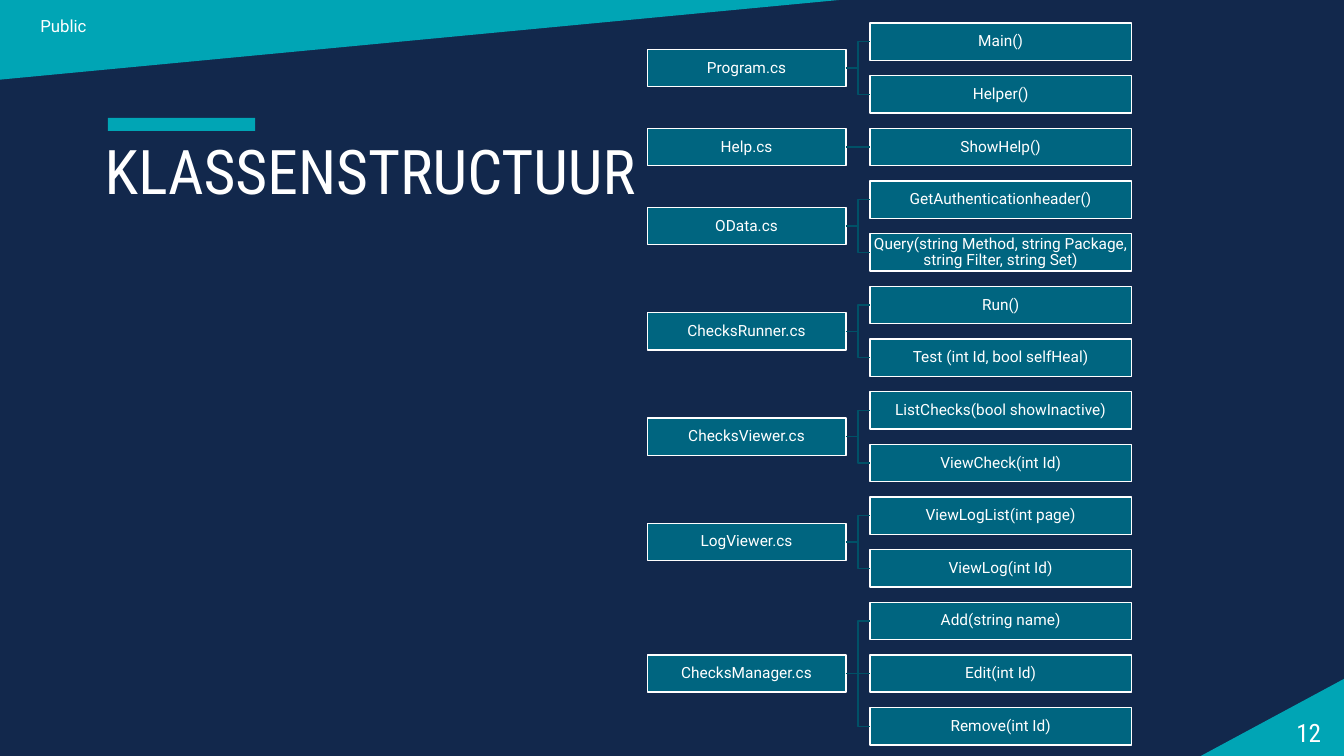
from pptx import Presentation, util as u
from pptx.dml.color import RGBColor
from pptx.enum import shapes, text
from pptx.oxml import parse_xml
from pptx.oxml.ns import nsdecls

COLORS = {"navy": "12284C", "teal": "00A5B5", "box": "006580",
          "branch": "005167", "white": "FFFFFF"}
BODY, HEADING = "Roboto", "Roboto Condensed"


class SlideBuilder:
    def __init__(self, slide):
        self.slide = slide
        self.shapes = slide.shapes

    def color(self, name):
        return RGBColor.from_string(COLORS[name])

    def background(self, name):
        fill = self.slide.background.fill
        fill.solid()
        fill.fore_color.rgb = self.color(name)

    def paint(self, shape, fill, line=None):
        shape.shadow.inherit = False
        shape.fill.solid()
        shape.fill.fore_color.rgb = self.color(fill)
        if line:
            shape.line.color.rgb = self.color(line)
            shape.line.width = u.Pt(1)
        else:
            shape.line.fill.background()
        return shape

    def shape(self, kind, place, fill, line=None):
        shape = self.shapes.add_shape(kind, *map(u.Inches, place))
        return self.paint(shape, fill, line)

    def outline(self, points, fill):
        points = [(u.Inches(x), u.Inches(y)) for x, y in points]
        builder = self.shapes.build_freeform(*points[0])
        builder.add_line_segments(points[1:], close=True)
        return self.paint(builder.convert_to_shape(), fill)

    def set_text(self, shape, words, size, font=BODY, align=text.PP_ALIGN.LEFT,
                 anchor=text.MSO_ANCHOR.MIDDLE, insets=(0.1, 0.05, 0.1, 0.05),
                 spacing=1.0):
        frame = shape.text_frame
        frame.word_wrap = True
        frame.vertical_anchor = anchor
        (frame.margin_left, frame.margin_top,
         frame.margin_right, frame.margin_bottom) = map(u.Inches, insets)
        para = frame.paragraphs[0]
        para.text = words
        para.alignment = align
        para.line_spacing = spacing
        para.font.name = font
        para.font.size = u.Pt(size)
        para.font.color.rgb = self.color("white")

    def label(self, place, words, size, **style):
        self.set_text(self.shapes.add_textbox(*map(u.Inches, place)),
                      words, size, **style)

    def node(self, place, words):
        box = self.shape(shapes.MSO_SHAPE.RECTANGLE, place, "box", "white")
        self.set_text(box, words, 11, align=text.PP_ALIGN.CENTER,
                      insets=(0.01,) * 4, spacing=0.9)
        return box

    def branch(self, parent, child):
        level = abs(parent.top - child.top) < u.Inches(0.01)
        kind = shapes.MSO_CONNECTOR.STRAIGHT if level else shapes.MSO_CONNECTOR.ELBOW
        link = self.shapes.add_connector(kind, 0, 0, 0, 0)
        link.begin_connect(parent, 3)  # right side
        link.end_connect(child, 1)  # left side
        link.line.color.rgb = self.color("branch")
        link.line.width = u.Pt(1)
        link._element.spPr.append(parse_xml(f"<a:effectLst {nsdecls('a')}/>"))


deck = Presentation()
deck.slide_width, deck.slide_height = u.Inches(13.33), u.Inches(7.5)
page = SlideBuilder(deck.slides.add_slide(deck.slide_layouts[6]))

# Background and corner decoration
page.background("navy")
corner = page.shape(shapes.MSO_SHAPE.ISOSCELES_TRIANGLE,
                    (11.91, 6.73, 1.43, 0.77), "teal")
corner.adjustments[0] = 1
page.outline([(0, 0), (8.32, 0), (0, 0.79)], "teal")
page.shape(shapes.MSO_SHAPE.RECTANGLE, (1.07, 1.17, 1.46, 0.13), "teal")

# Page number, title and classification
page.label((12.64, 7.13, 0.68, 0.27), "12", 18, font=HEADING,
           align=text.PP_ALIGN.CENTER)
page.label((0.94, 1.35, 11.5, 0.68), "KLASSENSTRUCTUUR", 44, font=HEADING,
           anchor=text.MSO_ANCHOR.TOP, spacing=0.9)
page.label((0.01, 0.12, 4.5, 0.27), "Public", 12,
           insets=(0.39, 0.05, 0.1, 0.05))

# Class tree: each file is centred on its methods
CLASSES = {
    "Program.cs": ["Main()", "Helper()"],
    "Help.cs": ["ShowHelp()"],
    "OData.cs": ["GetAuthenticationheader()",
                 "Query(string Method, string Package, string Filter, string Set)"],
    "ChecksRunner.cs": ["Run()", "Test (int Id, bool selfHeal)"],
    "ChecksViewer.cs": ["ListChecks(bool showInactive)", "ViewCheck(int Id)"],
    "LogViewer.cs": ["ViewLogList(int page)", "ViewLog(int Id)"],
    "ChecksManager.cs": ["Add(string name)", "Edit(int Id)", "Remove(int Id)"],
}
FILE_LEFT, FILE_WIDTH = 6.42, 1.97
METHOD_LEFT, METHOD_WIDTH = 8.63, 2.59
FIRST_TOP, LAST_TOP, BOX_HEIGHT = 0.23, 7.02, 0.37
row_step = (LAST_TOP - FIRST_TOP) / (sum(map(len, CLASSES.values())) - 1)

row = 0
for file_name, methods in CLASSES.items():
    tops = [FIRST_TOP + (row + i) * row_step for i in range(len(methods))]
    file_top = (tops[0] + tops[-1]) / 2
    file_box = page.node((FILE_LEFT, file_top, FILE_WIDTH, BOX_HEIGHT), file_name)
    for top, method in zip(tops, methods):
        method_box = page.node((METHOD_LEFT, top, METHOD_WIDTH, BOX_HEIGHT), method)
        page.branch(file_box, method_box)
    row += len(methods)

deck.save("out.pptx")
